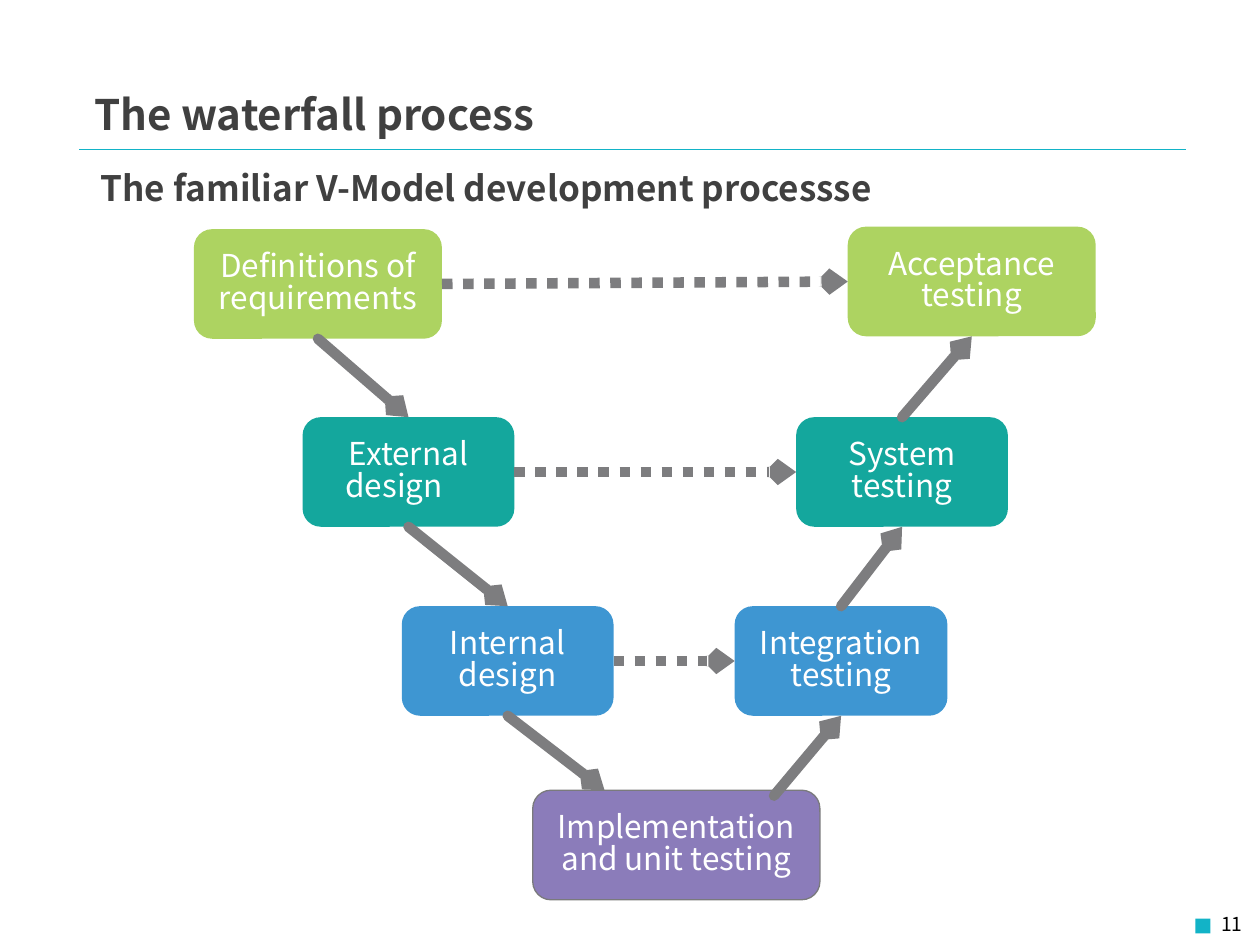
import pptx
import pptx.util
import pptx.dml.color
import pptx.enum.dml
import pptx.enum.shapes
import pptx.enum.text
import pptx.oxml
from dataclasses import dataclass
from typing import NamedTuple, Optional

Cm, Pt = pptx.util.Cm, pptx.util.Pt
RGB = pptx.dml.color.RGBColor.from_string
Align, Anchor = pptx.enum.text.PP_ALIGN, pptx.enum.text.MSO_ANCHOR
Preset = pptx.enum.shapes.MSO_SHAPE


@dataclass(frozen=True)
class Theme:
    font: str = "Noto Sans CJK JP"
    box_font: str = "Noto Sans CJK KR"
    heading: str = "404040"
    number: str = "000000"
    box_text: str = "FFFFFF"
    accent: str = "12B3C7"
    arrow: str = "7D7D7F"
    outline: str = "7A7A7C"
    green: str = "ADD361"
    teal: str = "14A79D"
    blue: str = "3E96D2"
    purple: str = "8B7CBA"
    title_pt: int = 24
    subtitle_pt: int = 20
    box_pt: int = 18
    number_pt: int = 11
    arrow_pt: int = 6
    leading: float = 0.83


THEME = Theme()


class Point(NamedTuple):
    x: float
    y: float


@dataclass(frozen=True)
class Phase:
    text: str
    left: float
    top: float
    width: float
    fill: str
    outline: Optional[str] = None
    height: float = 2.21

    def at(self, across: float, down: float) -> Point:
        return Point(self.left + across * self.width, self.top + down * self.height)


@dataclass(frozen=True)
class Label:
    text: str
    left: float
    top: float
    width: float
    height: float
    size: int
    color: str
    inset: float
    bold: bool = False
    align: Align = Align.LEFT
    anchor: Anchor = Anchor.TOP
    wrap: bool = True


DESIGN = [
    Phase("Definitions of requirements", 3.91, 4.62, 5, THEME.green),
    Phase("External design\t", 6.1, 8.41, 4.27, THEME.teal),
    Phase("Internal design", 8.1, 12.22, 4.27, THEME.blue),
]
IMPLEMENTATION = Phase("Implementation and unit testing", 10.74, 15.93, 5.79,
                       THEME.purple, THEME.outline)
TESTING = [
    Phase("Acceptance testing", 17.09, 4.57, 5, THEME.green),
    Phase("System testing", 16.05, 8.41, 4.27, THEME.teal),
    Phase("Integration testing", 14.81, 12.22, 4.29, THEME.blue),
]
LABELS = [
    Label("11", 21.77, 18.29, 3.53, 0.76, THEME.number_pt, THEME.number, 0.13,
          align=Align.RIGHT, anchor=Anchor.MIDDLE),
    Label("The waterfall process", 1.65, 1.73, 16.21, 0.99, THEME.title_pt,
          THEME.heading, 0.22, bold=True),
    Label("The familiar V-Model development processse", 1.78, 3.33, 17.48, 1.12,
          THEME.subtitle_pt, THEME.heading, 0.18, bold=True, wrap=False),
]


def write(tf, text: str, font: str, size: int, color: str, align: Align,
          bold: bool = False) -> None:
    p = tf.paragraphs[0]
    p.text = text
    p.alignment = align
    p.line_spacing = THEME.leading
    p.font.name = font
    p.font.size = Pt(size)
    p.font.bold = bold
    p.font.color.rgb = RGB(color)


def add_block(slide, preset: Preset, left: float, top: float, width: float,
              height: float, fill: str, outline: Optional[str] = None):
    sp = slide.shapes.add_shape(preset, Cm(left), Cm(top), Cm(width), Cm(height))
    sp.shadow.inherit = False
    sp.fill.solid()
    sp.fill.fore_color.rgb = RGB(fill)
    if outline:
        sp.line.color.rgb = RGB(outline)
        sp.line.width = Pt(0.75)
    else:
        sp.line.fill.background()
    return sp


def add_phase(slide, phase: Phase) -> None:
    sp = add_block(slide, Preset.ROUNDED_RECTANGLE, phase.left, phase.top,
                   phase.width, phase.height, phase.fill, phase.outline)
    tf = sp.text_frame
    tf.word_wrap = True
    tf.vertical_anchor = Anchor.MIDDLE
    write(tf, phase.text, THEME.box_font, THEME.box_pt, THEME.box_text, Align.CENTER)


def add_label(slide, label: Label) -> None:
    tf = slide.shapes.add_textbox(Cm(label.left), Cm(label.top),
                                  Cm(label.width), Cm(label.height)).text_frame
    tf.word_wrap = label.wrap
    tf.vertical_anchor = label.anchor
    tf.margin_top = Cm(label.inset)
    write(tf, label.text, THEME.font, label.size, label.color, label.align, label.bold)


def add_line(slide, start: Point, end: Point, color: str, width: float):
    line = slide.shapes.add_connector(
        pptx.enum.shapes.MSO_CONNECTOR.STRAIGHT,
        Cm(start.x), Cm(start.y), Cm(end.x), Cm(end.y))
    line.line.color.rgb = RGB(color)
    line.line.width = Pt(width)
    props = line._element.spPr
    props.append(props.makeelement(pptx.oxml.ns.qn("a:effectLst"), {}))
    return line


def add_arrow(slide, start: Point, end: Point, dotted: bool = False) -> None:
    line = add_line(slide, start, end, THEME.arrow, THEME.arrow_pt)
    ln = line.line._get_or_add_ln()
    if dotted:
        line.line.dash_style = pptx.enum.dml.MSO_LINE.ROUND_DOT
        ln.find(pptx.oxml.ns.qn("a:prstDash")).set("val", "sysDot")
    else:
        ln.set("cap", "rnd")
    ln.append(ln.makeelement(pptx.oxml.ns.qn("a:tailEnd"),
                             {"type": "arrow", "w": "sm", "len": "sm"}))


def main() -> None:
    prs = pptx.Presentation()
    prs.slide_width, prs.slide_height = Cm(25.4), Cm(19.05)
    slide = prs.slides.add_slide(prs.slide_layouts[6])

    add_line(slide, Point(1.6, 3), Point(23.9, 3), THEME.accent, 0.25)
    add_block(slide, Preset.RECTANGLE, 24.1, 18.52, 0.3, 0.3, THEME.accent)
    for label in LABELS:
        add_label(slide, label)
    for phase in [*DESIGN, IMPLEMENTATION, *TESTING]:
        add_phase(slide, phase)

    for upper, lower in zip(DESIGN, DESIGN[1:]):
        add_arrow(slide, upper.at(0.5, 1), lower.at(0.5, 0))
    add_arrow(slide, DESIGN[-1].at(0.5, 1), IMPLEMENTATION.at(0.25, 0))
    add_arrow(slide, IMPLEMENTATION.at(0.84, 0.05), TESTING[-1].at(0.5, 1))
    for upper, lower in zip(TESTING, TESTING[1:]):
        add_arrow(slide, lower.at(0.5, 0), upper.at(0.5, 1))
    for design, testing in zip(DESIGN, TESTING):
        add_arrow(slide, design.at(1, 0.5), testing.at(0, 0.5), dotted=True)

    prs.save("out.pptx")


if __name__ == "__main__":
    main()
